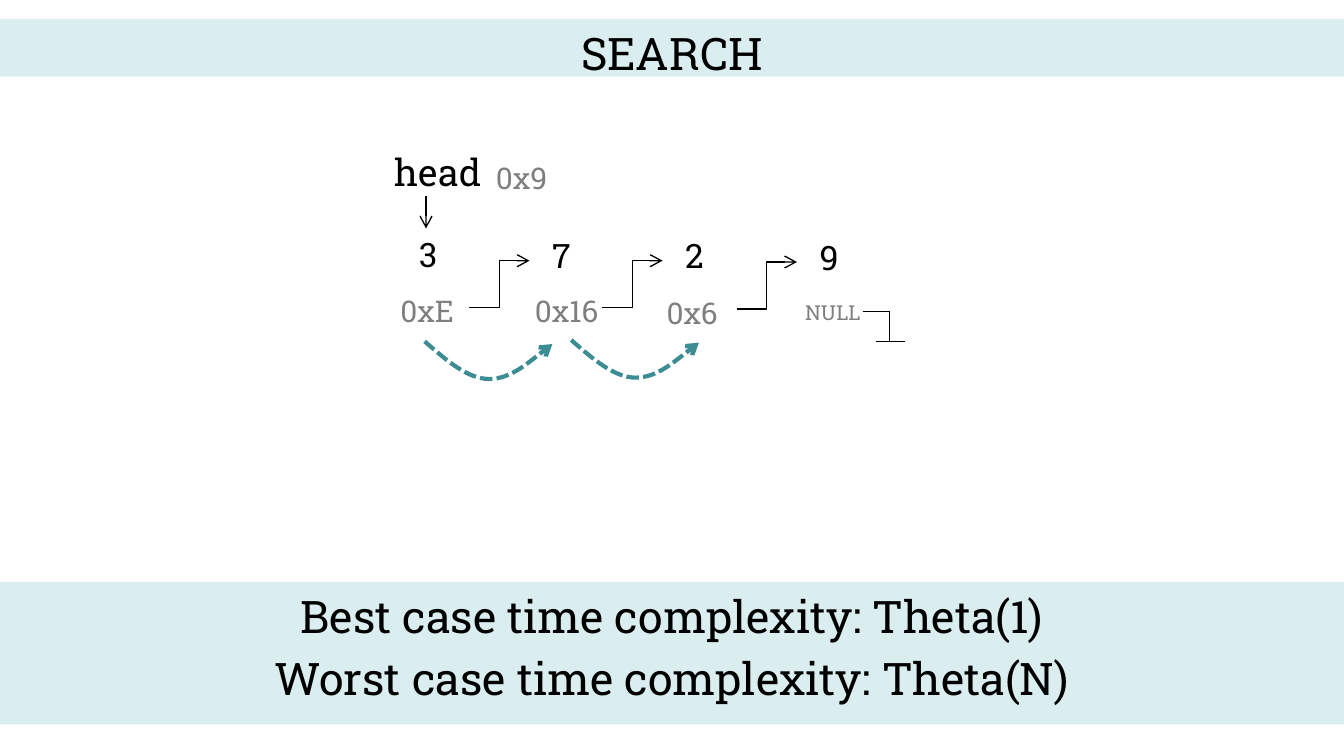
"""Build the slide that shows a search through a linked list."""
import pptx
import pptx.dml.color
import pptx.enum.dml
import pptx.enum.shapes
import pptx.enum.text
import pptx.oxml
import pptx.oxml.ns
import pptx.util
from pptx.util import Inches

BLACK = pptx.dml.color.RGBColor(0x00, 0x00, 0x00)
GREY = pptx.dml.color.RGBColor(0x7F, 0x7F, 0x7F)
PALE_TEAL = pptx.dml.color.RGBColor(0xDA, 0xED, 0xEF)
TEAL = pptx.dml.color.RGBColor(0x3C, 0x8C, 0x93)
FONT = "Roboto Slab"
STRAIGHT = pptx.enum.shapes.MSO_CONNECTOR.STRAIGHT
ELBOW = pptx.enum.shapes.MSO_CONNECTOR.ELBOW


def format_text(frame, size, color, align):
    frame.word_wrap = True
    frame.vertical_anchor = pptx.enum.text.MSO_ANCHOR.TOP
    for index, paragraph in enumerate(frame.paragraphs):
        paragraph.alignment = align
        if index:
            paragraph.space_before = pptx.util.Pt(0.2 * size)
        for run in paragraph.runs:
            run.font.name = FONT
            run.font.size = pptx.util.Pt(size)
            run.font.color.rgb = color


def add_band(slide, top, height, text):
    band = slide.shapes.add_shape(
        pptx.enum.shapes.MSO_SHAPE.RECTANGLE,
        0, Inches(top), Inches(10), Inches(height))
    band.shadow.inherit = False
    band.fill.solid()
    band.fill.fore_color.rgb = PALE_TEAL
    band.line.fill.background()
    band.text_frame.text = text
    format_text(band.text_frame, 24, BLACK, pptx.enum.text.PP_ALIGN.CENTER)


def add_label(slide, left, top, width, height, text, size, color=BLACK):
    label = slide.shapes.add_textbox(
        Inches(left), Inches(top), Inches(width), Inches(height))
    label.text_frame.text = text
    format_text(label.text_frame, size, color, pptx.enum.text.PP_ALIGN.LEFT)
    return label


def add_address(slide, left, top, text, size=16, width=0.43):
    address = add_label(slide, left, top, width, 0.32, text, size, GREY)
    address.text_frame.margin_left = address.text_frame.margin_right = 0


def add_arrowhead(line):
    line._get_or_add_ln().append(pptx.oxml.parse_xml(
        f'<a:tailEnd {pptx.oxml.ns.nsdecls("a")} type="arrow"/>'))


def add_link(slide, start, end, kind=STRAIGHT, arrow=False):
    link = slide.shapes.add_connector(
        kind, *(Inches(value) for value in (*start, *end)))
    link.line.color.rgb = BLACK
    link.line.width = pptx.util.Pt(0.75)
    if arrow:
        add_arrowhead(link.line)
    link._element.spPr.append(pptx.oxml.parse_xml(
        f'<a:effectLst {pptx.oxml.ns.nsdecls("a")}/>'))


def add_hop(slide, left, top):
    """Draw a dashed arc, turning each three drawn points into one curve."""
    offsets = [(0.16, 0.14), (0.32, 0.28), (0.48, 0.28),
               (0.64, 0.28), (0.95, 0.02), (0.95, 0.02)]
    builder = slide.shapes.build_freeform(Inches(left), Inches(top))
    builder.add_line_segments(
        [(Inches(left + x), Inches(top + y)) for x, y in offsets], close=False)
    hop = builder.convert_to_shape()
    hop.shadow.inherit = False
    hop.fill.background()
    hop.line.color.rgb = TEAL
    hop.line.width = pptx.util.Pt(2.25)
    hop.line.dash_style = pptx.enum.dml.MSO_LINE.SQUARE_DOT
    add_arrowhead(hop.line)

    segments = hop._element.findall(".//" + pptx.oxml.ns.qn("a:lnTo"))
    outline = segments[0].getparent()
    for first in range(0, len(segments), 3):
        curve = pptx.oxml.parse_xml(
            f'<a:cubicBezTo {pptx.oxml.ns.nsdecls("a")}/>')
        for segment in segments[first:first + 3]:
            curve.append(segment[0])
            outline.remove(segment)
        outline.append(curve)


def add_list_end(slide):
    add_link(slide, (6.42, 2.32), (6.62, 2.32))
    add_link(slide, (6.62, 2.32), (6.62, 2.54))
    add_link(slide, (6.52, 2.54), (6.73, 2.54))


def main():
    deck = pptx.Presentation()
    deck.slide_width = Inches(10)
    deck.slide_height = deck.slide_width * 9 // 16
    slide = deck.slides.add_slide(deck.slide_layouts[6])

    add_band(slide, 0.14, 0.43, "SEARCH")
    add_band(slide, 4.33, 1.06, "Best case time complexity: Theta(1)\n"
                                "Worst case time complexity: Theta(N)")

    add_label(slide, 2.84, 1.06, 1.02, 0.48, "head", 20)
    add_address(slide, 3.69, 1.14, "0x9")
    add_link(slide, (3.17, 1.46), (3.17, 1.7), arrow=True)

    for left, top, value in [(3.02, 1.69, "3"), (4.01, 1.7, "7"),
                             (5, 1.7, "2"), (6, 1.71, "9")]:
        add_label(slide, left, top, 0.33, 0.48, value, 18)

    add_address(slide, 2.98, 2.13, "0xE")
    add_address(slide, 3.98, 2.13, "0x16", width=0.51)
    add_address(slide, 4.96, 2.14, "0x6")
    add_address(slide, 5.99, 2.18, "NULL", size=11)

    for left, bottom in [(3.49, 2.29), (4.48, 2.29), (5.48, 2.3)]:
        add_link(slide, (left, bottom), (left + 0.45, bottom - 0.35),
                 ELBOW, arrow=True)
    add_list_end(slide)

    add_hop(slide, 3.16, 2.54)
    add_hop(slide, 4.25, 2.53)
    deck.save("out.pptx")


if __name__ == "__main__":
    main()
